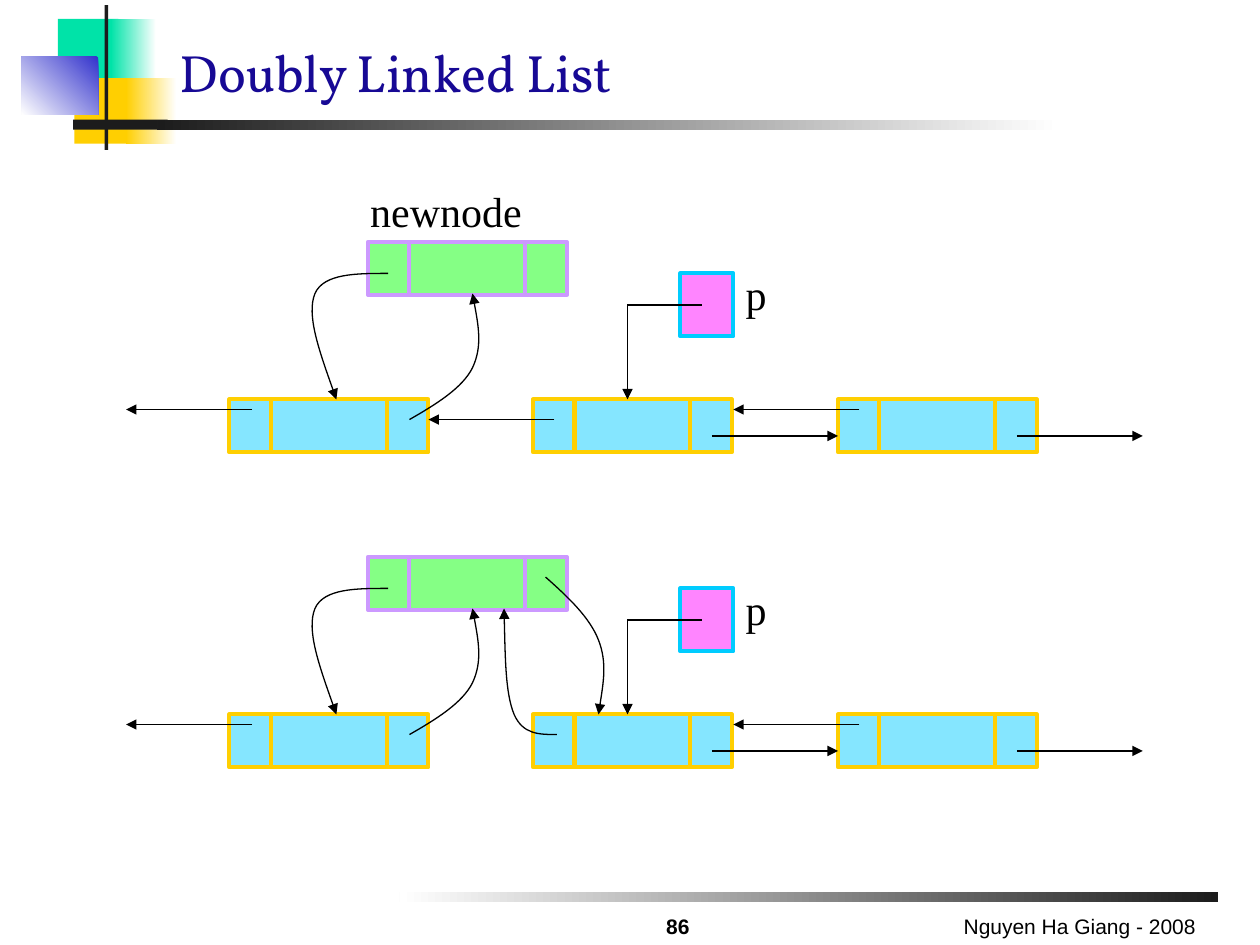
from dataclasses import dataclass
from typing import Optional

from lxml.etree import SubElement
from pptx import Presentation
from pptx.dml.color import RGBColor
from pptx.enum.shapes import MSO_CONNECTOR, MSO_SHAPE
from pptx.enum.text import MSO_ANCHOR, PP_ALIGN
from pptx.oxml.ns import qn
from pptx.util import Inches, Pt

BLACK = RGBColor(0x00, 0x00, 0x00)
WHITE = RGBColor(0xFF, 0xFF, 0xFF)
CHARCOAL = RGBColor(0x1C, 0x1C, 0x1C)
TEAL = RGBColor(0x00, 0xE3, 0xA8)
GOLD = RGBColor(0xFF, 0xCF, 0x01)
INDIGO = RGBColor(0x33, 0x33, 0xCC)
NAVY = RGBColor(0x17, 0x09, 0x95)
SKY = RGBColor(0x00, 0xCC, 0xFF)
GREEN = RGBColor(0x00, 0xFF, 0x00)
LILAC = RGBColor(0xCC, 0x99, 0xFF)
MAGENTA = RGBColor(0xFF, 0x00, 0xFF)

CELL_OPACITY = 48
NODE_HEIGHT = 0.42
LINK_WIDTH, DATA_WIDTH = 0.33, 0.92
LIST_TOP, NEW_NODE_TOP = 3.17, 1.92
STEP_TOPS = (0, 2.5)


@dataclass(frozen=True)
class Block:
    left: float
    top: float
    width: float
    height: float
    color: RGBColor
    end_color: Optional[RGBColor] = None
    angle: float = 180


@dataclass(frozen=True)
class Arrow:
    start: tuple[float, float]
    end: tuple[float, float]
    has_head: bool = True


@dataclass(frozen=True)
class Curve:
    points: tuple[tuple[float, float], ...]


DECORATION = (
    Block(3.17, 7.08, 6.5, 0.08, CHARCOAL, WHITE),
    Block(0.46, 0.15, 0.48, 0.52, TEAL),
    Block(0.88, 0.15, 0.36, 0.52, WHITE, TEAL),
    Block(0.59, 0.62, 0.46, 0.52, GOLD),
    Block(1, 0.62, 0.4, 0.52, WHITE, GOLD),
    Block(0.17, 0.45, 0.61, 0.46, INDIGO, WHITE, 225),
    Block(0.83, 0.04, 0.03, 1.15, CHARCOAL),
    Block(0.58, 0.95, 0.75, 0.08, CHARCOAL),
    Block(1.25, 0.95, 7.16, 0.08, WHITE, CHARCOAL),
)
LIST_NODE_LEFTS = (1.82, 4.23, 6.65)
NEW_NODE_LEFT = 2.92

COMMON_ARROWS = (
    Arrow((1.98, 3.33), (1.98, 3.33)),
    Arrow((5.65, 3.46), (6.65, 3.46)),
    Arrow((6.82, 3.25), (5.82, 3.25)),
    Arrow((8.07, 3.46), (9.07, 3.46)),
    Arrow((2, 3.25), (1, 3.25)),
    Arrow((4.98, 2.42), (4.98, 3.17)),
    Arrow((5.57, 2.42), (4.98, 2.42), has_head=False),
    Arrow((3.08, 2.08), (3.08, 2.08)),
)
OLD_PREVIOUS_LINK = Arrow((4.4, 3.33), (3.4, 3.33))

COMMON_CURVES = (
    Curve(((3.08, 2.17), (2.83, 2.17), (2.57, 2.17), (2.5, 2.33),
           (2.43, 2.5), (2.55, 2.83), (2.67, 3.17))),
    Curve(((3.25, 3.33), (3.46, 3.21), (3.67, 3.08), (3.75, 2.92),
           (3.83, 2.75), (3.79, 2.54), (3.75, 2.33))),
)
FINAL_CURVES = (
    Curve(((4.42, 3.33), (4.28, 3.33), (4.15, 3.33), (4.08, 3.17),
           (4.01, 3), (4.01, 2.67), (4, 2.33))),
    Curve(((4.33, 2.08), (4.51, 2.24), (4.68, 2.4), (4.75, 2.58),
           (4.82, 2.76), (4.78, 2.97), (4.75, 3.17))),
)


def add_block(slide, block: Block):
    shape = slide.shapes.add_shape(
        MSO_SHAPE.RECTANGLE, Inches(block.left), Inches(block.top),
        Inches(block.width), Inches(block.height))
    shape.shadow.inherit = False
    shape.line.fill.background()
    if block.end_color is None:
        shape.fill.solid()
        shape.fill.fore_color.rgb = block.color
    else:
        shape.fill.gradient()
        shape.fill.gradient_angle = block.angle
        for stop, color in zip(shape.fill.gradient_stops, (block.color, block.end_color)):
            stop.color.rgb = color
    return shape


def add_cell(slide, block: Block, border: RGBColor) -> None:
    shape = add_block(slide, block)
    shape.line.color.rgb = border
    shape.line.width = Pt(2.25)
    color = shape._element.spPr.find(f"{qn('a:solidFill')}/{qn('a:srgbClr')}")
    SubElement(color, qn("a:alpha"), val=str(CELL_OPACITY * 1000))


def add_node(slide, left: float, top: float, fill: RGBColor, border: RGBColor) -> None:
    cells = ((LINK_WIDTH, DATA_WIDTH),
             (LINK_WIDTH + DATA_WIDTH, LINK_WIDTH),
             (0, LINK_WIDTH))
    for offset, width in cells:
        add_cell(slide, Block(left + offset, top, width, NODE_HEIGHT, fill), border)


def style_line(shape, has_head: bool) -> None:
    shape.line.color.rgb = BLACK
    shape.line.width = Pt(0.75)
    if has_head:
        SubElement(shape.line._get_or_add_ln(), qn("a:tailEnd"), type="triangle")


def add_arrow(slide, arrow: Arrow, top: float) -> None:
    (start_x, start_y), (end_x, end_y) = arrow.start, arrow.end
    connector = slide.shapes.add_connector(
        MSO_CONNECTOR.STRAIGHT, Inches(start_x), Inches(start_y + top),
        Inches(end_x), Inches(end_y + top))
    style_line(connector, arrow.has_head)
    SubElement(connector._element.spPr, qn("a:effectLst"))


def add_curve(slide, curve: Curve, top: float) -> None:
    points = [(Inches(x), Inches(y + top)) for x, y in curve.points]
    builder = slide.shapes.build_freeform(*points[0])
    builder.add_line_segments(points[1:], close=False)
    shape = builder.convert_to_shape()
    shape.shadow.inherit = False
    shape.fill.background()
    style_line(shape, has_head=True)
    outline = next(shape._element.iter(qn("a:path")))
    segments = outline.findall(qn("a:lnTo"))
    for index in range(0, len(segments), 3):
        bezier = SubElement(outline, qn("a:cubicBezTo"))
        for segment in segments[index:index + 3]:
            bezier.append(segment[0])
            outline.remove(segment)


def add_text(slide, text: str, *, left: float, top: float, width: float, height: float,
             size: float, font: str = "Times New Roman", color: RGBColor = BLACK,
             bold: bool = False, wrap: bool = False, align=PP_ALIGN.LEFT,
             anchor=MSO_ANCHOR.TOP) -> None:
    shape = slide.shapes.add_textbox(Inches(left), Inches(top), Inches(width), Inches(height))
    frame = shape.text_frame
    frame.word_wrap = wrap
    frame.vertical_anchor = anchor
    paragraph = frame.paragraphs[0]
    paragraph.alignment = align
    run = paragraph.add_run()
    run.text = text
    run.font.name = font
    run.font.size = Pt(size)
    run.font.bold = bold
    run.font.color.rgb = color


def add_step(slide, top: float, arrows: tuple[Arrow, ...], curves: tuple[Curve, ...]) -> None:
    for left in LIST_NODE_LEFTS:
        add_node(slide, left, LIST_TOP + top, SKY, GOLD)
    add_cell(slide, Block(5.4, 2.17 + top, 0.42, 0.5, MAGENTA), SKY)
    add_text(slide, "p", left=5.82, top=2.08 + top, width=0.36, height=0.5, size=24)
    add_node(slide, NEW_NODE_LEFT, NEW_NODE_TOP + top, GREEN, LILAC)
    for arrow in arrows:
        add_arrow(slide, arrow, top)
    for curve in curves:
        add_curve(slide, curve, top)


def main() -> None:
    presentation = Presentation()
    presentation.slide_width, presentation.slide_height = Inches(10), Inches(7.5)
    slide = presentation.slides.add_slide(presentation.slide_layouts[6])
    for block in DECORATION:
        add_block(slide, block)
    add_text(slide, "Doubly Linked List", left=1.33, top=0.2, width=8.5, height=0.67,
             size=30, font="Vollkorn", color=NAVY, wrap=True, anchor=MSO_ANCHOR.BOTTOM)
    add_step(slide, STEP_TOPS[0], COMMON_ARROWS + (OLD_PREVIOUS_LINK,), COMMON_CURVES)
    add_text(slide, "newnode", left=2.84, top=1.42, width=1.4, height=0.5, size=24)
    add_step(slide, STEP_TOPS[1], COMMON_ARROWS, COMMON_CURVES + FINAL_CURVES)
    add_text(slide, "Nguyen Ha Giang - 2008", left=6.42, top=7.17, width=3.17, height=0.33,
             size=12, font="Arial", wrap=True, align=PP_ALIGN.RIGHT, anchor=MSO_ANCHOR.BOTTOM)
    add_text(slide, "86", left=4.92, top=7.23, width=0.92, height=0.27, size=12, font="Arial",
             bold=True, wrap=True, align=PP_ALIGN.CENTER, anchor=MSO_ANCHOR.BOTTOM)
    presentation.save("out.pptx")


if __name__ == "__main__":
    main()
